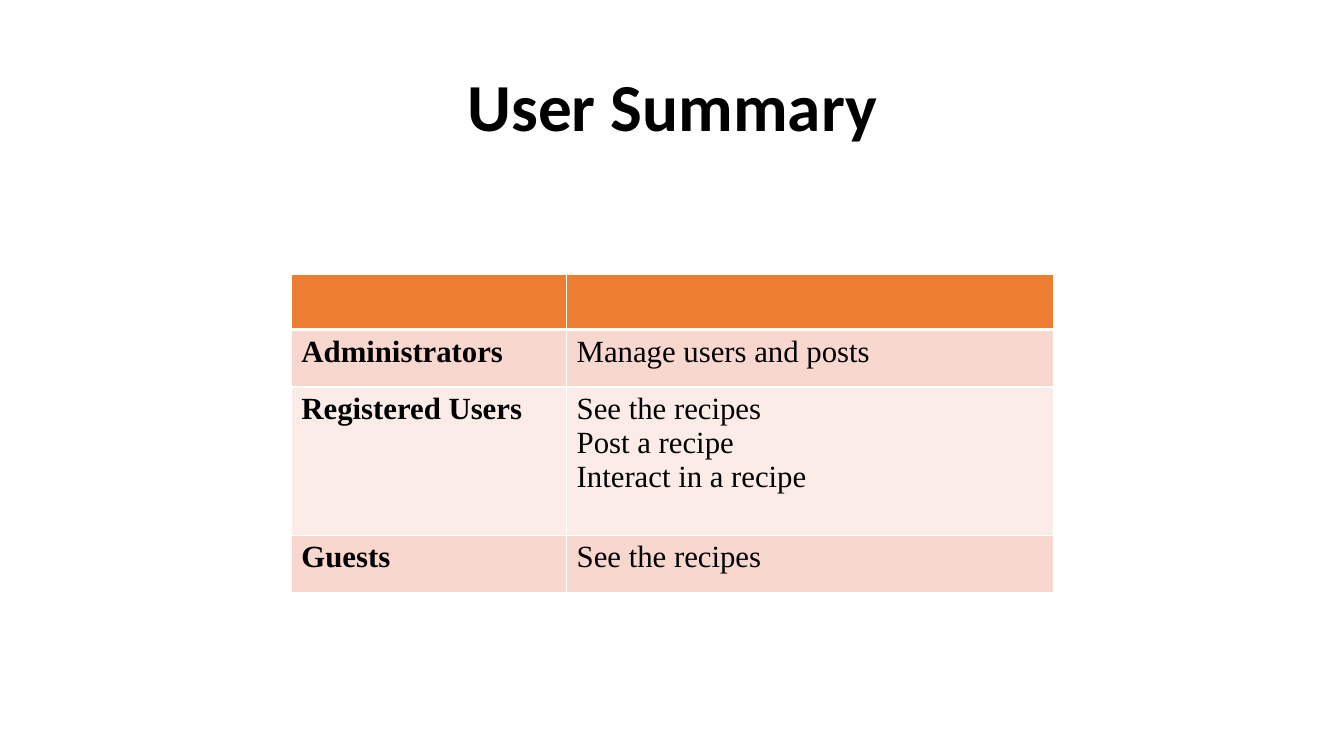
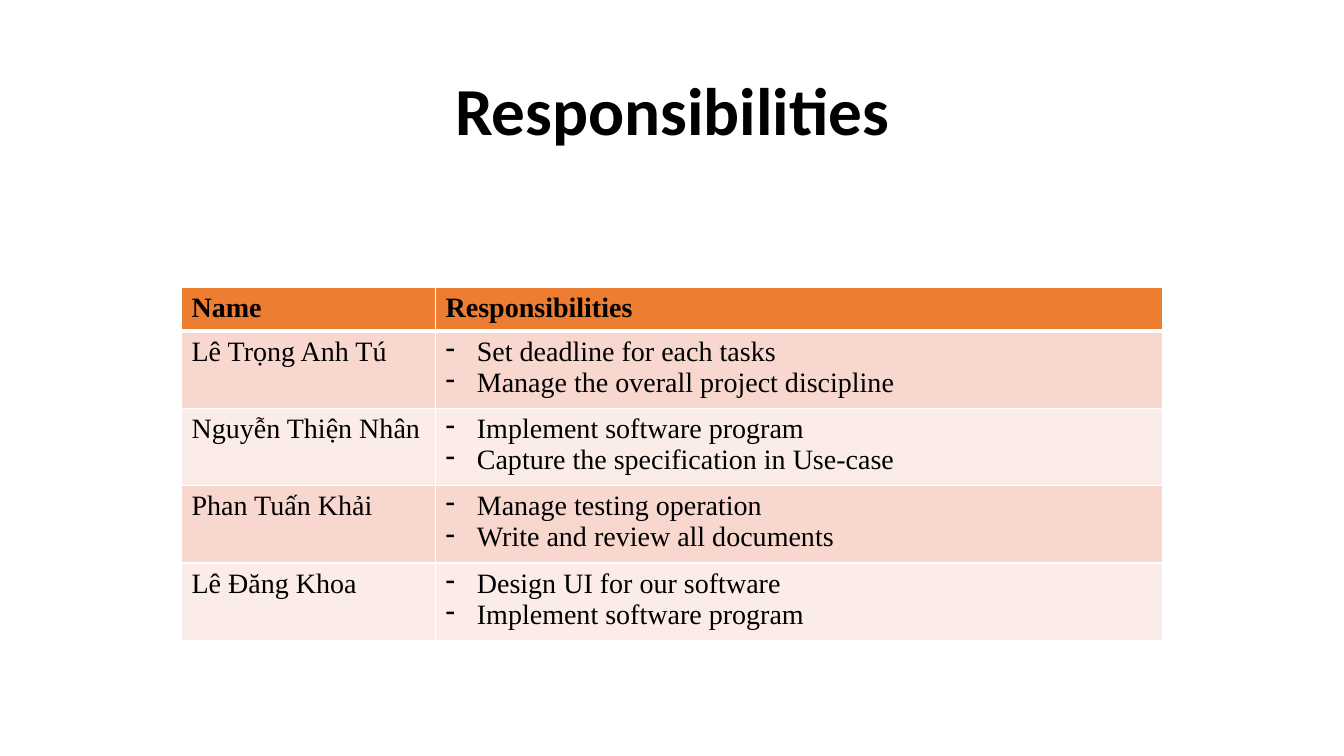
from pptx import Presentation
from pptx.dml.color import RGBColor
from pptx.enum.text import MSO_ANCHOR, PP_ALIGN
from pptx.oxml.ns import qn
from pptx.util import Inches, Pt
from lxml.etree import SubElement

# Content: a row is a list of cells, a cell is a list of lines
USERS = [
    [[], []],
    [["Administrators"], ["Manage users and posts"]],
    [["Registered Users"],
     ["See the recipes", "Post a recipe", "Interact in a recipe"]],
    [["Guests"], ["See the recipes"]],
]
TASKS = [
    [["Name"], ["Responsibilities"]],
    [["Lê Trọng Anh Tú"],
     ["Set deadline for each tasks", "Manage the overall project discipline"]],
    [["Nguyễn Thiện Nhân"],
     ["Implement software program", "Capture the specification in Use-case"]],
    [["Phan Tuấn Khải"],
     ["Manage testing operation", "Write and review all documents"]],
    [["Lê Đăng Khoa"],
     ["Design UI for our software", "Implement software program"]],
]
SLIDES = [
    dict(title="User Summary", top=0.36, rows=USERS, at=(2.89, 2.72),
         wide=[2.73, 4.83], high=[0.55, 0.57, 1.47, 0.57],
         size=22, names=True, dash=False),
    dict(title="Responsibilities", top=0.4, rows=TASKS, at=(1.8, 2.85),
         wide=[2.52, 7.21], high=[0.41] + [0.71] * 4,
         size=20, names=False, dash=True),
]

# Shared style
INK, HEAD, LINE = "000000", "ED7D31", "FFFFFF"
BANDS = ["F8D7CE", "FCECE8"]
INDENT = Inches(0.31)


def color(code):
    return RGBColor.from_string(code)


def write(para, text, face, size, bold):
    run = para.add_run()
    run.text = text
    font = run.font
    font.name, font.size, font.bold = face, Pt(size), bold
    font.color.rgb = color(INK)


def add_title(slide, text, top):
    box = slide.shapes.add_textbox(
        Inches(0.92), Inches(top), Inches(11.5), Inches(1.45))
    frame = box.text_frame
    frame.word_wrap = True
    frame.vertical_anchor = MSO_ANCHOR.MIDDLE
    para = frame.paragraphs[0]
    para.alignment = PP_ALIGN.CENTER
    para.line_spacing = 0.9
    write(para, text, "Calibri", 48, True)


def add_dash(para):
    props = para._p.get_or_add_pPr()
    props.set("marL", str(INDENT))
    props.set("indent", str(-INDENT))
    SubElement(props, qn("a:buChar"), char="-")


def add_edges(cell, row):
    # Borders come before the fill; the rule under the header is thick
    props = cell._tc.get_or_add_tcPr()
    thick = {(0, "B"), (1, "T")}
    for side in "LRTB":
        width = Pt(3 if (row, side) in thick else 1)
        edge = SubElement(props, qn("a:ln" + side), w=str(width))
        fill = SubElement(edge, qn("a:solidFill"))
        SubElement(fill, qn("a:srgbClr"), val=LINE)


def add_grid(slide, page):
    rows, wide, high = page["rows"], page["wide"], page["high"]
    left, top = page["at"]
    table = slide.shapes.add_table(
        len(rows), len(wide), Inches(left), Inches(top),
        Inches(sum(wide)), Inches(sum(high))).table
    for col, width in zip(table.columns, wide):
        col.width = Inches(width)
    for r, row in enumerate(rows):
        table.rows[r].height = Inches(high[r])
        for c, lines in enumerate(row):
            cell = table.cell(r, c)
            add_edges(cell, r)
            cell.fill.solid()
            cell.fill.fore_color.rgb = color(BANDS[(r - 1) % 2] if r else HEAD)
            bold = r == 0 or (c == 0 and page["names"])
            frame = cell.text_frame
            for i, line in enumerate(lines):
                para = frame.add_paragraph() if i else frame.paragraphs[0]
                if page["dash"] and r and c:
                    add_dash(para)
                write(para, line, "Times New Roman", page["size"], bold)


# Build the slides
deck = Presentation()
deck.slide_width, deck.slide_height = Inches(13.33), Inches(7.5)
for page in SLIDES:
    slide = deck.slides.add_slide(deck.slide_layouts[6])
    add_title(slide, page["title"], page["top"])
    add_grid(slide, page)
deck.save("out.pptx")
